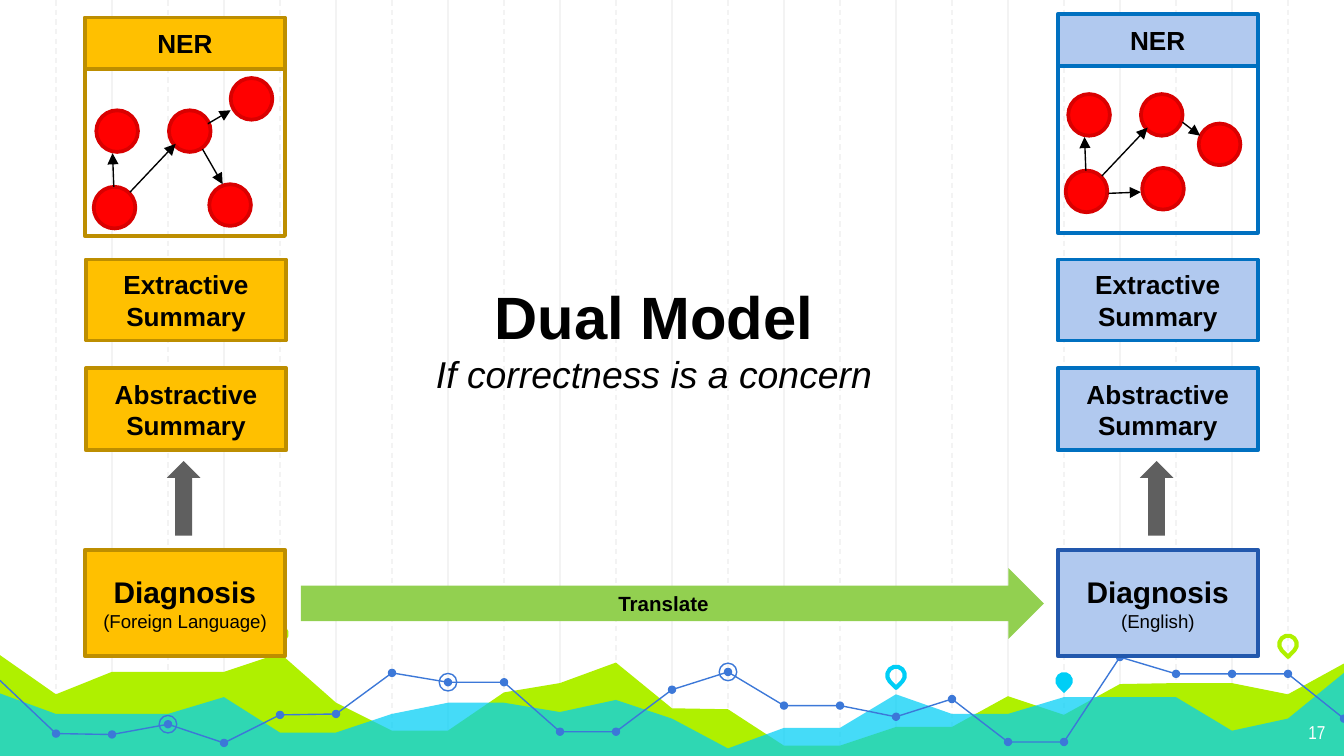
from dataclasses import dataclass
from lxml.etree import SubElement
from pptx import Presentation
from pptx.dml.color import RGBColor
from pptx.enum.dml import MSO_LINE
from pptx.enum.shapes import MSO_CONNECTOR, MSO_SHAPE
from pptx.enum.text import MSO_ANCHOR, MSO_AUTO_SIZE, PP_ALIGN
from pptx.oxml.ns import qn
from pptx.util import Pt


@dataclass(frozen=True)
class Theme:
    font: str = "Arial"
    narrow: str = "Arial Narrow"
    black: str = "000000"
    white: str = "FFFFFF"
    grid: str = "F3F3F3"
    lime: str = "AFF000"
    cyan: str = "00CEF6"
    trend: str = "3C78D8"
    gold: str = "FFC000"
    bronze: str = "BD8E00"
    sky: str = "B1C9EF"
    blue: str = "0070C0"
    navy: str = "2258AD"
    red: str = "FF0000"
    crimson: str = "D90000"
    gray: str = "5F5F5F"
    green: str = "92D050"
    hero: int = 32
    lead: int = 20
    head: int = 16
    label: int = 14
    flow: int = 11
    note: int = 10
    thin: float = 0.75
    edge: float = 2
    bold: float = 2.25


class Deck:
    def __init__(self, theme, slide):
        self.theme = theme
        self.slide = slide
        self.shapes = slide.shapes

    def paint(self, shape, fill=None, line=None, width=2):
        shape.shadow.inherit = False
        if fill:
            shape.fill.solid()
            shape.fill.fore_color.rgb = RGBColor.from_string(fill)
        else:
            shape.fill.background()
        if line:
            shape.line.color.rgb = RGBColor.from_string(line)
            shape.line.width = Pt(width)
        else:
            shape.line.fill.background()
        return shape

    def shape(self, kind, x, y, w, h, fill=None, line=None, width=2):
        item = self.shapes.add_shape(kind, Pt(x), Pt(y), Pt(w), Pt(h))
        return self.paint(item, fill, line, width)

    def spot(self, kind, x, y, size, fill=None, line=None, width=2):
        return self.shape(kind, x - size / 2, y - size / 2, size, size, fill, line, width)

    def line(self, start, end, color, dash=False, arrow=False):
        ends = [Pt(n) for n in (*start, *end)]
        link = self.shapes.add_connector(MSO_CONNECTOR.STRAIGHT, *ends)
        link.line.color.rgb = RGBColor.from_string(color)
        link.line.width = Pt(self.theme.thin)
        if dash:
            link.line.dash_style = MSO_LINE.DASH
        props = link.element.spPr
        if arrow:
            SubElement(props.find(qn("a:ln")), qn("a:tailEnd"), type="triangle")
        SubElement(props, qn("a:effectLst"))

    def outline(self, points, fill=None, line=None, alpha=None):
        spots = [(Pt(x), Pt(y)) for x, y in points]
        path = self.shapes.build_freeform(*spots[0])
        path.add_line_segments(spots[1:], close=bool(fill))
        item = self.paint(path.convert_to_shape(), fill, line, self.theme.thin)
        if alpha:
            color = item.element.spPr.find(qn("a:solidFill"))[0]
            SubElement(color, qn("a:alpha"), val=str(alpha * 1000))

    def text(self, shape, rows, color=None, font=None, align=PP_ALIGN.CENTER, anchor=MSO_ANCHOR.MIDDLE):
        frame = shape.text_frame
        frame.text = "\n".join(row[0] for row in rows)
        frame.word_wrap = True
        frame.vertical_anchor = anchor
        for para, (_, size, bold, slant) in zip(frame.paragraphs, rows):
            para.alignment = align
            for run in para.runs:
                run.font.name = font or self.theme.font
                run.font.size = Pt(size)
                run.font.bold = bold
                run.font.italic = slant
                run.font.color.rgb = RGBColor.from_string(color or self.theme.black)

    def box(self, x, y, h, fill, line, *rows):
        item = self.shape(MSO_SHAPE.RECTANGLE, x, y, 107.3, h, fill, line, self.theme.edge)
        if rows:
            self.text(item, rows)

    def title(self, x, y, w, h, rows):
        item = self.shapes.title
        item.left, item.top, item.width, item.height = Pt(x), Pt(y), Pt(w), Pt(h)
        self.text(item, rows, anchor=MSO_ANCHOR.TOP)
        item.text_frame.auto_size = MSO_AUTO_SIZE.NONE
        item.element.getparent().append(item.element)

    def number(self, text):
        item = self.shapes.add_textbox(Pt(674), Pt(380), Pt(43), Pt(25))
        frame = item.text_frame
        frame.margin_top = frame.margin_bottom = Pt(7.2)
        self.text(item, [(text, self.theme.note, False, False)], self.theme.white,
                  self.theme.narrow, PP_ALIGN.RIGHT, MSO_ANCHOR.TOP)

    def graph(self, x, y, nodes, edges):
        t = self.theme
        for left, top in nodes:
            self.shape(MSO_SHAPE.FLOWCHART_CONNECTOR, x + left, y + top, 22.3, 22.3, t.red, t.crimson, t.edge)
        for x1, y1, x2, y2 in edges:
            self.line((x + x1, y + y1), (x + x2, y + y2), t.black, arrow=True)

    def tower(self, x, inner, top, fill, line, base, tongue, root, nodes, edges):
        t = self.theme
        self.box(x, 294.5, 57, fill, base, ("Diagnosis", t.head, True, False), (tongue, t.note, False, False))
        self.box(x, top, 27.6, fill, line, ("NER", t.label, True, False))
        self.box(x, top + 27.8, 89.3, None, line)
        self.graph(*root, SHARED + nodes, LINKS + edges)
        self.box(inner, 139, 43.4, fill, line, ("Extractive Summary", t.label, True, False))
        self.box(inner, 197.3, 44, fill, line, ("Abstractive Summary", t.label, True, False))
        self.shape(MSO_SHAPE.UP_ARROW, x + 44, 247, 18, 40, t.gray)


STEP, WIDE, TALL = 30, 720, 405
HILLS = [351, 372, 360, 360, 360, 350, 376.5, 391.5, 391.5, 371, 366, 355, 379.5,
         380, 399.5, 399.5, 389.5, 389.5, 373, 383, 366.5, 366, 366, 372, 355.5]
WAVES = [371.5, 382.5, 382.5, 382.5, 373.5, 392.5, 392.5, 382.5, 376.5, 376.5, 381.5, 375, 385,
         401, 390, 390, 372, 382.5, 382.5, 373.5, 373.5, 373.5, 391.5, 385, 360.5]
TREND = [364.5, 393, 393.5, 388, 398, 383, 382.5, 360.5, 365.5, 365.5, 392, 392, 369.5,
         360, 378, 378, 384, 374.5, 397.5, 397.5, 352, 361, 361, 361, 385]
RINGS = (3, 8, 13)
SHARED = [(0, 0), (40.3, -41), (1.4, -41)]
LINKS = [(19.4, 2.9, 43.9, -23), (10.8, 0, 10.1, -18)]


def place(levels):
    return [(STEP * i, y) for i, y in enumerate(levels)]


def scene(deck):
    t = deck.theme
    for i in range(1, WIDE // STEP):
        deck.line((STEP * i, 0), (STEP * i, TALL), t.grid, dash=i % 2 == 1)
    floor = [(WIDE, TALL), (0, TALL)]
    deck.outline(place(HILLS) + floor, t.lime)
    deck.outline(place(WAVES) + floor, t.cyan, alpha=73)
    pins = [(150, 339.5, t.lime, True), (480, 361.8, t.cyan, False),
            (570, 364.7, t.cyan, True), (690, 345.2, t.lime, False)]
    for x, y, color, solid in pins:
        paint = {"fill": color} if solid else {"line": color, "width": t.bold}
        deck.spot(MSO_SHAPE.TEAR, x, y, 9.4, **paint).rotation = 135
    dots = place(TREND)
    deck.outline(dots, line=t.trend)
    for x, y in dots[1:]:
        deck.spot(MSO_SHAPE.OVAL, x, y, 4.5, t.trend)
    for i in RINGS:
        deck.spot(MSO_SHAPE.OVAL, *dots[i], 9.4, line=t.trend, width=t.thin)
    deck.number("17")


def main():
    show = Presentation()
    show.slide_width, show.slide_height = Pt(WIDE), Pt(TALL)
    t = Theme()
    deck = Deck(t, show.slides.add_slide(show.slide_layouts[5]))
    scene(deck)
    deck.tower(45.4, 46, 9.4, t.gold, t.bronze, t.bronze, "(Foreign Language)", (50.2, 100.1),
               [(61.9, -1.4), (73.4, -58.3)],
               [(58.3, -20.2, 69.1, -1.4), (61.2, -33.8, 73.4, -41)])
    deck.tower(566.6, 566.6, 7.7, t.sky, t.blue, t.navy, "(English)", (570.9, 91.4),
               [(41, -1.4), (71.3, -25.2)],
               [(23, 12.2, 40.3, 11.5), (62.6, -25.9, 72, -18.7)])
    arrow = deck.shape(MSO_SHAPE.RIGHT_ARROW, 161.2, 304.3, 398, 38, t.green)
    deck.text(arrow, [("Translate", t.flow, True, False)])
    deck.title(185.5, 146.3, 330, 70.8, [("Dual Model", t.hero, True, False),
                                        ("If correctness is a concern", t.lead, False, True)])
    show.save("out.pptx")


if __name__ == "__main__":
    main()
